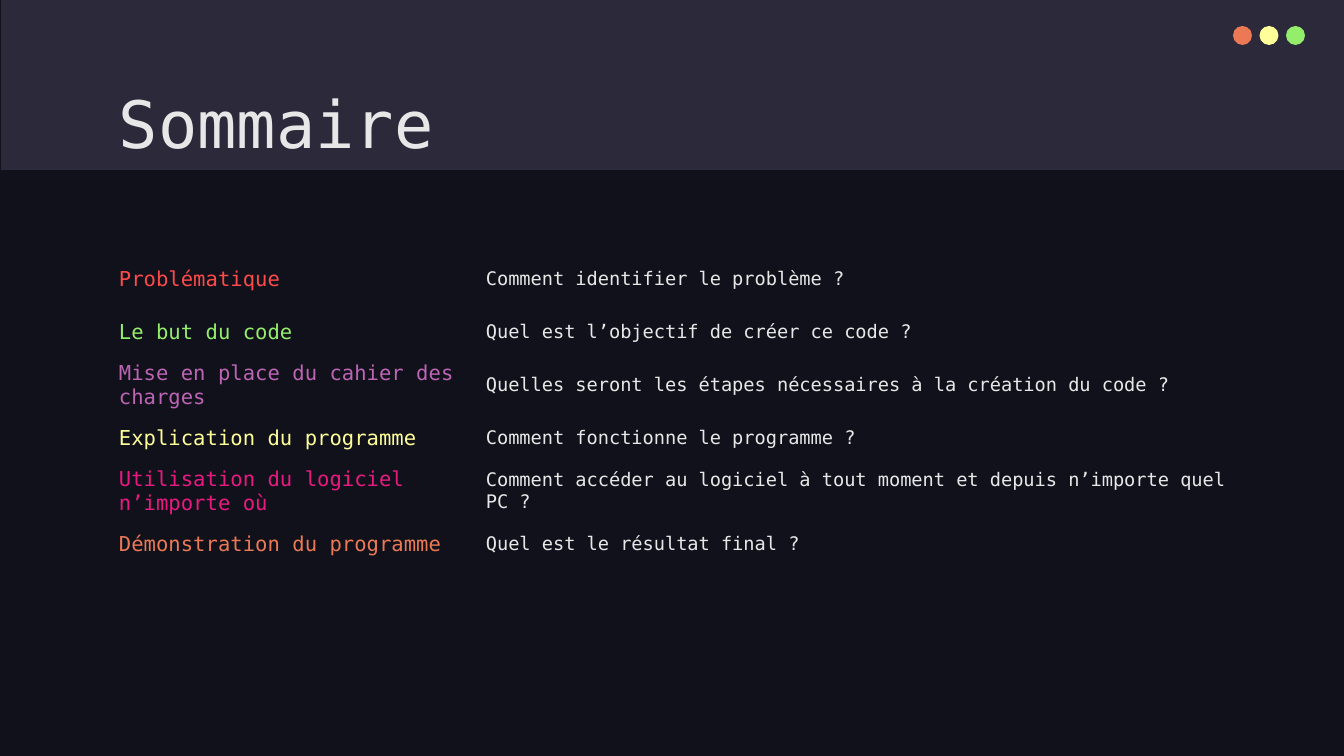
from typing import NamedTuple

from pptx import Presentation
from pptx.dml.color import RGBColor
from pptx.enum.shapes import MSO_SHAPE as SHAPE
from pptx.enum.text import MSO_ANCHOR as ANCHOR
from pptx.oxml.ns import qn
from pptx.util import Emu, Pt

FONT = "DejaVu Sans Mono"
NIGHT = RGBColor(0x10, 0x11, 0x1A)
SLATE = RGBColor(0x2C, 0x29, 0x3A)
LIGHT = RGBColor(0xE7, 0xE7, 0xE7)
RED = RGBColor(0xFD, 0x4A, 0x4A)
GREEN = RGBColor(0x94, 0xEE, 0x6B)
PURPLE = RGBColor(0xBD, 0x64, 0xB5)
YELLOW = RGBColor(0xFF, 0xFF, 0x99)
PINK = RGBColor(0xE8, 0x1A, 0x81)
ORANGE = RGBColor(0xEC, 0x79, 0x55)

SLIDE_W, SLIDE_H = 1344, 756
MARGIN, INSET = 106, 13
COL_WIDTHS = (367, 766)
TABLE_TOP, ROW_H = 253, 53
DOT_LEFT, DOT_TOP, DOT_SIZE, DOT_STEP = 1233, 26, 19, 26.5
NO_STYLE_NO_GRID = "{2D5ABB26-0587-4C30-8999-92F81FD0307C}"


class Topic(NamedTuple):
    name: str
    question: str
    color: RGBColor


TOPICS = [
    Topic("Problématique", "Comment identifier le problème ?", RED),
    Topic("Le but du code", "Quel est l’objectif de créer ce code ?", GREEN),
    Topic("Mise en place du cahier des charges",
          "Quelles seront les étapes nécessaires à la création du code ?", PURPLE),
    Topic("Explication du programme", "Comment fonctionne le programme ?", YELLOW),
    Topic("Utilisation du logiciel n’importe où",
          "Comment accéder au logiciel à tout moment et depuis n’importe quel PC ?", PINK),
    Topic("Démonstration du programme", "Quel est le résultat final ?", ORANGE),
]


def px(n: float) -> Emu:
    return Emu(round(n * 9144000 / SLIDE_W))


def set_text(tf, text: str, size: int, color: RGBColor) -> None:
    tf.text = text
    tf.word_wrap = True
    font = tf.paragraphs[0].runs[0].font
    font.name, font.size = FONT, Pt(size)
    font.color.rgb = color


def add_filled(s, kind: SHAPE, x: float, y: float, w: int, h: int, color: RGBColor) -> None:
    sp = s.shapes.add_shape(kind, px(x), px(y), px(w), px(h))
    sp.shadow.inherit = False
    sp.fill.solid()
    sp.fill.fore_color.rgb = color
    sp.line.fill.background()


def add_title(s, text: str) -> None:
    tf = s.shapes.add_textbox(px(MARGIN), px(66), px(sum(COL_WIDTHS)), px(85)).text_frame
    set_text(tf, text, 35, LIGHT)
    tf.vertical_anchor = ANCHOR.TOP
    tf.margin_left = tf.margin_right = px(INSET)
    tf.margin_top, tf.margin_bottom = px(17), 0


def fill_cell(cell, text: str, size: int, color: RGBColor) -> None:
    cell.fill.background()
    cell.vertical_anchor = ANCHOR.MIDDLE
    cell.margin_left = cell.margin_right = px(INSET)
    cell.margin_top = cell.margin_bottom = 0
    set_text(cell.text_frame, text, size, color)


def add_topics(s, topics: list[Topic]) -> None:
    frame = s.shapes.add_table(len(topics), len(COL_WIDTHS), px(MARGIN), px(TABLE_TOP),
                               px(sum(COL_WIDTHS)), px(ROW_H * len(topics)))
    table = frame.table
    table.first_row = table.horz_banding = False
    style = next(frame.element.iter(qn("a:tableStyleId")))
    style.text = NO_STYLE_NO_GRID
    for column, width in zip(table.columns, COL_WIDTHS):
        column.width = px(width)
    for i, topic in enumerate(topics):
        table.rows[i].height = px(ROW_H)
        fill_cell(table.cell(i, 0), topic.name, 11, topic.color)
        fill_cell(table.cell(i, 1), topic.question, 10, LIGHT)


def main() -> None:
    prs = Presentation()
    prs.slide_width, prs.slide_height = px(SLIDE_W), px(SLIDE_H)
    s = prs.slides.add_slide(prs.slide_layouts[6])
    s.background.fill.solid()
    s.background.fill.fore_color.rgb = NIGHT

    # Header band with window dots
    add_filled(s, SHAPE.RECTANGLE, 1, 0, SLIDE_W - 1, 170, SLATE)
    for i, color in enumerate((ORANGE, YELLOW, GREEN)):
        add_filled(s, SHAPE.OVAL, DOT_LEFT + i * DOT_STEP, DOT_TOP, DOT_SIZE, DOT_SIZE, color)
    add_title(s, "Sommaire")

    # Table of contents
    add_topics(s, TOPICS)
    prs.save("out.pptx")


if __name__ == "__main__":
    main()
